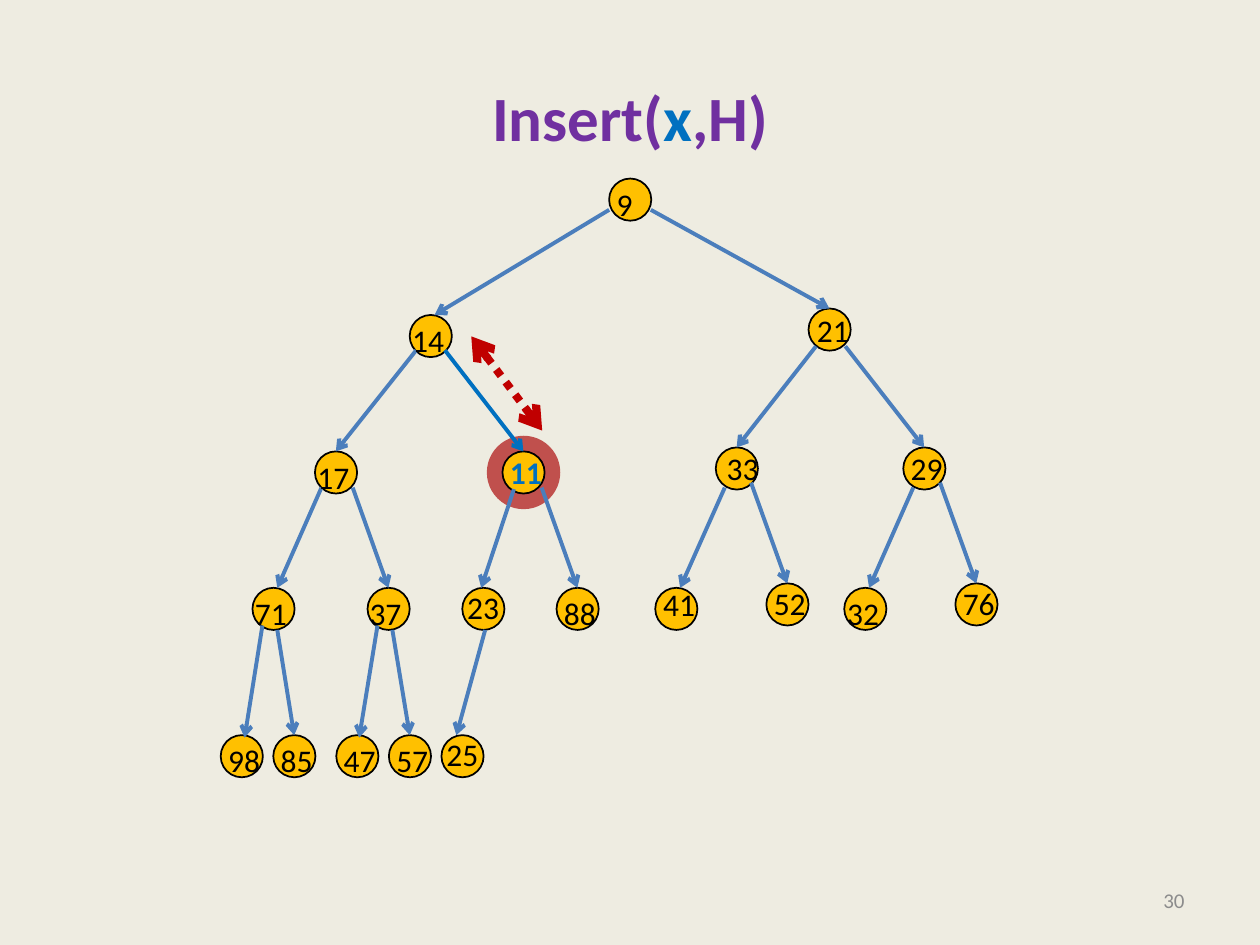
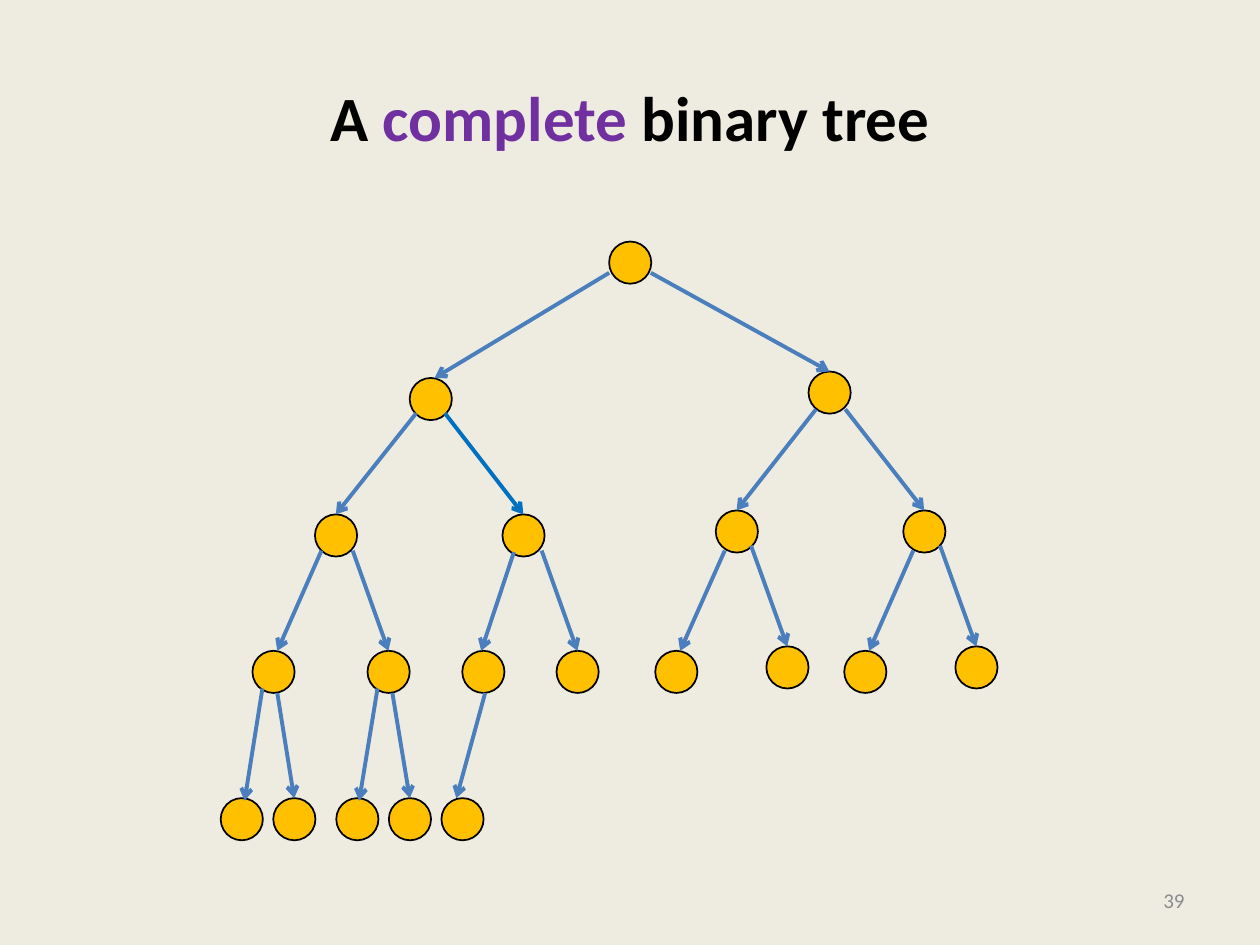
from collections import namedtuple

from lxml import etree
from pptx import Presentation
from pptx import util as u
from pptx.dml.color import RGBColor
from pptx.enum import dml, shapes, text
from pptx.oxml import ns

FONT = "Calibri"
PAPER, BLACK, GREY = "EEECE1", "000000", "8C8C8C"
PURPLE, BLUE, EDGE_BLUE = "7030A0", "0070C0", "4B7EBC"
AMBER, HALO_RED, SWAP_RED = "FFC000", "C0504D", "C00000"

NODE_SIZE, HALO_SIZE = 0.85, 1.48
TREE_LEFT = 4.45
INSERTED = 4  # index of the node that holds x

# All lengths in cm. The nodes stand in level order, so the parent of i is
# (i - 1) // 2. label is measured from the node's corner, start from the
# parent's corner, and end from the node's own corner.
Node = namedtuple("Node", "key left top label start end", defaults=[(0.42, 0)])
HEAP = [
    Node("9", 7.83, 0, (-0.1, 0), None),
    Node("14", 3.81, 2.75, (-0.2, 0), (0, 0.63), (0.5, 0)),
    Node("21", 11.85, 2.62, (-0.08, -0.08), (0.84, 0.63)),
    Node("17", 1.9, 5.5, (-0.2, 0), (0.13, 0.71)),
    Node("11", 5.68, 5.5, (-0.1, -0.1), (0.71, 0.71)),
    Node("33", 9.98, 5.42, (-0.03, -0.1), (0.15, 0.76)),
    Node("29", 13.76, 5.42, (-0.1, -0.1), (0.74, 0.76)),
    Node("71", 0.64, 8.25, (-0.2, 0), (0.13, 0.73), (0.5, 0)),
    Node("37", 2.96, 8.25, (-0.21, 0), (0.76, 0.73)),
    Node("23", 4.87, 8.25, (-0.15, -0.12), (0.23, 0.76), (0.38, 0)),
    Node("88", 6.77, 8.25, (-0.1, 0), (0.79, 0.73)),
    Node("41", 8.76, 8.25, (-0.09, -0.19), (0.18, 0.81), (0.5, 0)),
    Node("52", 11, 8.16, (-0.1, -0.12), (0.71, 0.71)),
    Node("32", 12.57, 8.25, (-0.19, 0), (0.2, 0.81), (0.5, 0)),
    Node("76", 14.81, 8.16, (-0.1, -0.12), (0.74, 0.71)),
    Node("98", 0, 11.22, (-0.1, 0), (0.2, 0.76), (0.48, 0.05)),
    Node("85", 1.06, 11.22, (-0.1, 0), (0.5, 0.85)),
    Node("47", 2.33, 11.22, (-0.1, 0), (0.2, 0.76), (0.46, 0.05)),
    Node("57", 3.39, 11.22, (-0.1, 0), (0.5, 0.85)),
    Node("25", 4.45, 11.22, (-0.15, -0.12), (0.46, 0.85), (0.3, 0)),
]


def color(hex_string):
    return RGBColor.from_string(hex_string)


def add_text(slide, box, runs, size, bold=False, align=text.PP_ALIGN.LEFT,
             anchor=text.MSO_ANCHOR.TOP, wrap=True):
    """Write one paragraph of (wording, colour) runs into a box."""
    frame = slide.shapes.add_textbox(*map(u.Cm, box)).text_frame
    frame.word_wrap = wrap
    frame.vertical_anchor = anchor
    if not wrap:
        frame.auto_size = text.MSO_AUTO_SIZE.SHAPE_TO_FIT_TEXT
    paragraph = frame.paragraphs[0]
    paragraph.alignment = align
    for wording, hex_string in runs:
        run = paragraph.add_run()
        run.text = wording
        run.font.name = FONT
        run.font.size = u.Pt(size)
        run.font.bold = bold
        run.font.color.rgb = color(hex_string)


def add_circle(parts, left, top, size, fill, outline=None):
    circle = parts.add_shape(shapes.MSO_SHAPE.OVAL,
                             *map(u.Cm, (left, top, size, size)))
    circle.shadow.inherit = False
    circle.fill.solid()
    circle.fill.fore_color.rgb = color(fill)
    if outline:
        circle.line.color.rgb = color(outline)
        circle.line.width = u.Pt(1)
    else:
        circle.line.fill.background()


def add_arrow(parts, start, end, hex_string, width, both_ends=False):
    arrow = parts.add_connector(shapes.MSO_CONNECTOR.STRAIGHT,
                                *map(u.Cm, (*start, *end)))
    arrow.line.color.rgb = color(hex_string)
    arrow.line.width = u.Pt(width)
    if both_ends:
        arrow.line.dash_style = dml.MSO_LINE.ROUND_DOT
    line = arrow.line._get_or_add_ln()
    for tag in ("a:headEnd", "a:tailEnd") if both_ends else ("a:tailEnd",):
        etree.SubElement(line, ns.qn(tag), type="arrow")
    etree.SubElement(arrow._element.spPr, ns.qn("a:effectLst"))


def add_base_slide(presentation, title_runs, number):
    """Add a slide with the shared background, title and slide number."""
    slide = presentation.slides.add_slide(presentation.slide_layouts[6])
    slide.background.fill.solid()
    slide.background.fill.fore_color.rgb = color(PAPER)
    add_text(slide, (1.27, 0.76, 22.86, 3.18), title_runs, 36, bold=True,
             align=text.PP_ALIGN.CENTER, anchor=text.MSO_ANCHOR.MIDDLE)
    add_text(slide, (18.2, 17.65, 5.93, 1.01), [(number, GREY)], 12,
             align=text.PP_ALIGN.RIGHT, anchor=text.MSO_ANCHOR.MIDDLE)
    return slide


def add_tree(parts, left, top):
    """Draw the circles and the arrows from each parent to its children."""
    for node in HEAP:
        add_circle(parts, left + node.left, top + node.top, NODE_SIZE,
                   AMBER, BLACK)
    for index, node in enumerate(HEAP[1:], 1):
        parent = HEAP[(index - 1) // 2]
        start = (left + parent.left + node.start[0],
                 top + parent.top + node.start[1])
        end = (left + node.left + node.end[0], top + node.top + node.end[1])
        add_arrow(parts, start, end,
                  BLUE if index == INSERTED else EDGE_BLUE, 2.25)


def add_keys(slide, left, top):
    for index, node in enumerate(HEAP):
        inserted = index == INSERTED
        width = 1.18 if len(node.key) > 1 else 0.85
        box = (left + node.left + node.label[0],
               top + node.top + node.label[1], width, 1.03)
        add_text(slide, box, [(node.key, BLUE if inserted else BLACK)], 18,
                 bold=inserted, wrap=False)


def build_insert_slide(presentation, left=TREE_LEFT, top=3.6):
    slide = add_base_slide(
        presentation, [("Insert(", PURPLE), ("x", BLUE), (",H)", PURPLE)], "30")
    # Halo behind the inserted node
    node = HEAP[INSERTED]
    margin = (HALO_SIZE - NODE_SIZE) / 2
    add_circle(slide.shapes, left + node.left - margin,
               top + node.top - margin, HALO_SIZE, HALO_RED)
    # Heap with its keys
    add_tree(slide.shapes, left, top)
    add_keys(slide, left, top)
    # Swap with the parent
    add_arrow(slide.shapes, (left + 5.05, top + 3.18),
              (left + 6.48, top + 5.08), SWAP_RED, 4.5, both_ends=True)


def build_complete_tree_slide(presentation, left=TREE_LEFT, top=4.87):
    slide = add_base_slide(
        presentation,
        [("A ", BLACK), ("complete ", PURPLE), ("binary tree", BLACK)], "39")
    add_tree(slide.shapes.add_group_shape().shapes, left, top)


def main():
    presentation = Presentation()
    presentation.slide_width = u.Cm(25.4)
    presentation.slide_height = u.Cm(19.05)
    build_insert_slide(presentation)
    build_complete_tree_slide(presentation)
    presentation.save("out.pptx")


if __name__ == "__main__":
    main()
